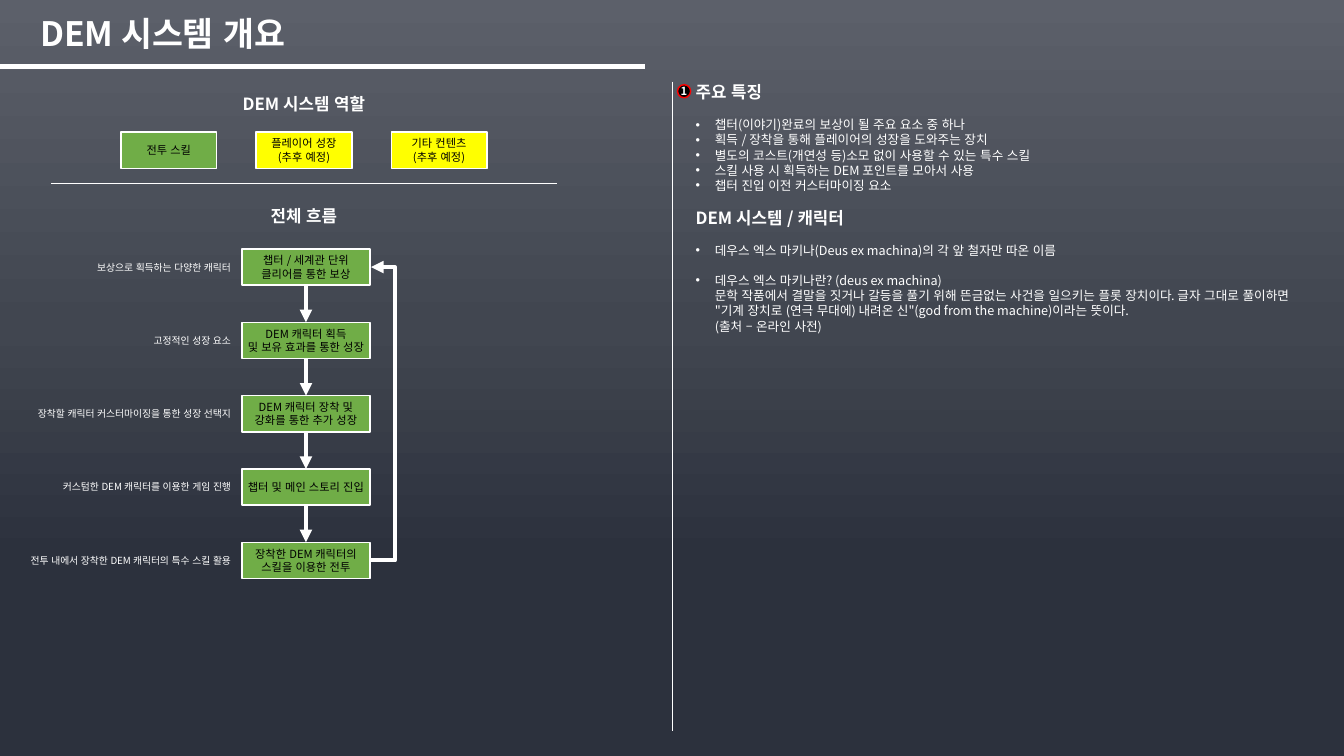
"""Builds the DEM system overview slide."""
from lxml.etree import SubElement
from pptx import Presentation
from pptx.dml.color import RGBColor as RGB
from pptx.enum.lang import MSO_LANGUAGE_ID as LANG
from pptx.enum.shapes import MSO_CONNECTOR as LINK, MSO_SHAPE as SHAPE
from pptx.enum.text import MSO_ANCHOR as ANCHOR, PP_ALIGN as ALIGN
from pptx.oxml.ns import qn
from pptx.util import Inches, Pt

FONT = "Noto Sans CJK KR"
HUES = {"white": "FFFFFF", "black": "000000", "red": "FF0000",
        "green": "70AD47", "yellow": "FFFF00"}
FADE = [(0, "5C606A"), (43, "414650"), (74, "2C313D"), (100, "2C313D")]
TITLE = "DEM 시스템 개요"
HEADS = [("DEM 시스템 역할", 0.85), ("전체 흐름", 1.96)]
ROLES = [("전투 스킬", "green"),
         ("플레이어 성장\v(추후 예정)", "yellow"),
         ("기타 컨텐츠\v(추후 예정)", "yellow")]
STEPS = [("챕터 / 세계관 단위\n클리어를 통한 보상", "보상으로 획득하는 다양한 캐릭터", 1.88),
         ("DEM 캐릭터 획득\n및 보유 효과를 통한 성장", "고정적인 성장 요소", 1.88),
         ("DEM 캐릭터 장착 및\n강화를 통한 추가 성장", "장착할 캐릭터 커스터마이징을 통한 성장 선택지", 2.05),
         ("챕터 및 메인 스토리 진입", "커스텀한 DEM 캐릭터를 이용한 게임 진행", 2.05),
         ("장착한 DEM 캐릭터의\n스킬을 이용한 전투", "전투 내에서 장착한 DEM 캐릭터의 특수 스킬 활용", 2.05)]
NOTES = [
    ("head", "주요 특징", 0),
    ("item", "챕터(이야기)완료의 보상이 될 주요 요소 중 하나", 11),
    ("item", "획득 / 장착을 통해 플레이어의 성장을 도와주는 장치", 0),
    ("item", "별도의 코스트(개연성 등)소모 없이 사용할 수 있는 특수 스킬", 0),
    ("item", "스킬 사용 시 획득하는 DEM 포인트를 모아서 사용", 0),
    ("item", "챕터 진입 이전 커스터마이징 요소", 0),
    ("head", "DEM 시스템 / 캐릭터", 10.5),
    ("item", "데우스 엑스 마키나(Deus ex machina)의 각 앞 철자만 따온 이름", 10.5),
    ("item", "데우스 엑스 마키나란? (deus ex machina)\v"
             "문학 작품에서 결말을 짓거나 갈등을 풀기 위해 뜬금없는 사건을 일으키는 플롯 장치이다. "
             "글자 그대로 풀이하면 \"기계 장치로 (연극 무대에) 내려온 신\"(god from the machine)이라는 뜻이다.\v"
             "(출처 – 온라인 사전)", 11)]
RULES = [((0, 0.66), (6.4, 0.66), 3), ((6.67, 0.81), (6.67, 7.25), 1),
         ((5.52, 1.82), (0.51, 1.82), 1)]
TALL = 0.36


def color(name):
    return RGB.from_string(HUES[name])


def style(para, size, hue, bold=False):
    for run in para.runs:
        font = run.font
        font.size, font.bold, font.name = Pt(size), bold, FONT
        font.color.rgb = color(hue)
        font.language_id = LANG.KOREAN
        font._element.set("kern", "0")
        SubElement(font._element, qn("a:ea"), typeface=FONT)
    for gap in para._p.findall(qn("a:br")):
        SubElement(gap, qn("a:rPr"), sz=str(size * 100))


def write(shape, text, size, hue, bold=False, align=ALIGN.CENTER, inset=(0, 0)):
    frame = shape.text_frame
    frame.word_wrap = True
    frame.vertical_anchor = ANCHOR.MIDDLE
    frame.margin_left = frame.margin_right = Inches(inset[0])
    frame.margin_top = frame.margin_bottom = Inches(inset[1])
    frame.text = text
    for para in frame.paragraphs:
        para.alignment = align
        style(para, size, hue, bold)
    return frame


def label(slide, area, *args, **opts):
    return write(slide.shapes.add_textbox(*map(Inches, area)), *args, **opts)


def block(slide, kind, area, fill, edge="white"):
    shape = slide.shapes.add_shape(kind, *map(Inches, area))
    shape.shadow.inherit = False
    shape.fill.solid()
    shape.fill.fore_color.rgb = color(fill)
    shape.line.color.rgb = color(edge)
    shape.line.width = Pt(1)
    return shape


def link(slide, start, end, width, kind=LINK.STRAIGHT, arrow=False):
    line = slide.shapes.add_connector(kind, *map(Inches, (*start, *end)))
    line.line.color.rgb = color("white")
    line.line.width = Pt(width)
    if arrow:
        SubElement(line.line._get_or_add_ln(), qn("a:tailEnd"), type="triangle")
    SubElement(line._element.spPr, qn("a:effectLst"))
    return line


def backdrop(slide, deck):
    back = slide.shapes.add_shape(SHAPE.RECTANGLE, 0, 0, deck.slide_width, deck.slide_height)
    back.shadow.inherit = False
    back.line.fill.background()
    back.fill.gradient()
    back.fill.gradient_angle = 270
    stops = back._element.spPr.find(".//" + qn("a:gsLst"))
    for stop in list(stops):
        stops.remove(stop)
    for pos, hue in FADE:
        stop = SubElement(stops, qn("a:gs"), pos=str(pos * 1000))
        SubElement(stop, qn("a:srgbClr"), val=hue)


def notes(slide):
    frame = label(slide, (6.9, 0.81, 6, 2.94), "", 9, "white")
    frame.vertical_anchor = ANCHOR.TOP
    for i, (kind, text, gap) in enumerate(NOTES):
        para = frame.add_paragraph() if i else frame.paragraphs[0]
        para.text = text
        para.alignment = ALIGN.LEFT
        para.space_before = Pt(gap)
        head = kind == "head"
        style(para, 12 if head else 9, "white", head)
        if not head:
            props = para._p.get_or_add_pPr()
            props.set("marL", str(Inches(0.19)))
            props.set("indent", str(-Inches(0.19)))
            SubElement(props, qn("a:buFont"), typeface="Arial")
            SubElement(props, qn("a:buChar"), char="•")
    mark = block(slide, SHAPE.OVAL, (6.72, 0.84, 0.13, 0.13), "black", "red")
    write(mark, "1", 8, "white", True)


def roles(slide):
    for i, (text, fill) in enumerate(ROLES):
        box = block(slide, SHAPE.RECTANGLE, (1.2 + 1.34 * i, 1.31, 0.95, TALL), fill)
        write(box, text, 8, "black")


def flow(slide):
    left, wide, top, last, edge = 2.4, 1.27, 2.47, 5.38, 2.29
    pitch = (last - top) / (len(STEPS) - 1)
    boxes = []
    for i, (text, note, span) in enumerate(STEPS):
        y = top + pitch * i
        box = block(slide, SHAPE.RECTANGLE, (left, y, wide, TALL), "green")
        write(box, text, 8, "black")
        label(slide, (edge - span, y, span, TALL), note, 7, "white", align=ALIGN.RIGHT)
        boxes.append(box)
    for prev, box in zip(boxes, boxes[1:]):
        line = link(slide, (0, 0), (0, 0), 3, arrow=True)
        line.begin_connect(prev, 2)
        line.end_connect(box, 0)
    side, reach, step = left + wide, 0.25, 0.01
    loop = link(slide, (side, last + TALL / 2), (side + step, top + TALL / 2), 3,
                LINK.ELBOW, True)
    guides = loop._element.spPr.find(".//" + qn("a:avLst"))
    SubElement(guides, qn("a:gd"), name="adj1", fmla=f"val {round(reach / step * 100000)}")


def main():
    deck = Presentation()
    deck.slide_width, deck.slide_height = Inches(13.33), Inches(7.5)
    slide = deck.slides.add_slide(deck.slide_layouts[6])
    backdrop(slide, deck)
    title = label(slide, (0.3, 0.07, 7.77, 0.56), TITLE, 24, "white", True,
                  align=ALIGN.LEFT, inset=(0.1, 0.05))
    title.paragraphs[0].line_spacing = 0.9
    for rule in RULES:
        link(slide, *rule)
    notes(slide)
    for text, y in HEADS:
        label(slide, (2.38, y, 1.27, TALL), text, 12, "white", True)
    roles(slide)
    flow(slide)
    deck.save("out.pptx")


if __name__ == "__main__":
    main()
